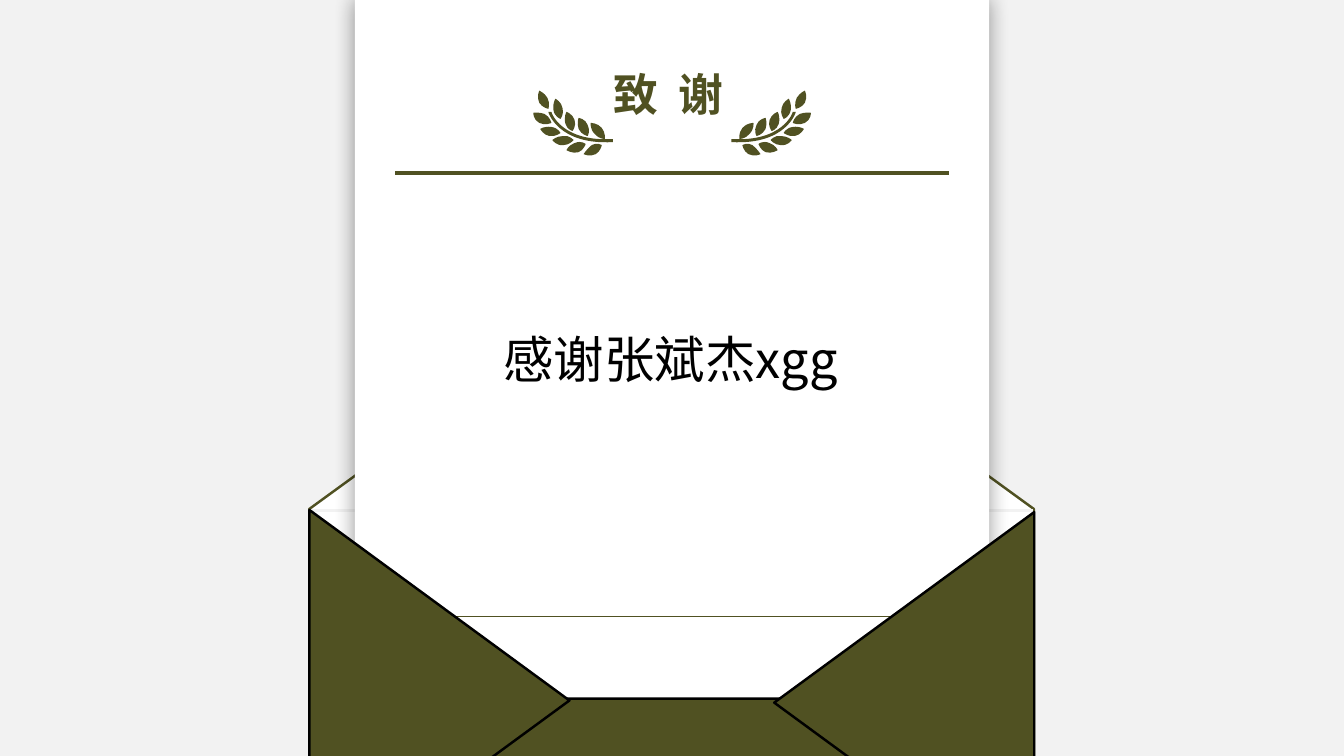
"""Build a thank-you slide with a letter rising out of an open envelope."""
from lxml.etree import SubElement
from pptx import Presentation
from pptx.dml.color import RGBColor
from pptx.enum.shapes import MSO_CONNECTOR, MSO_SHAPE
from pptx.enum.text import MSO_ANCHOR, MSO_AUTO_SIZE, PP_ALIGN
from pptx.oxml.ns import qn
from pptx.util import Pt

TITLE = "致 谢"
MESSAGE = "感谢张斌杰xgg"
FONT = "Noto Sans CJK SC"
OLIVE = RGBColor(0x50, 0x51, 0x22)
WHITE = RGBColor(0xFF, 0xFF, 0xFF)
BLACK = RGBColor(0, 0, 0)
GREY = RGBColor(0xF2, 0xF2, 0xF2)

SPRIG_UNIT = 0.72
MIRROR_SUM = 1333.5
LEAVES = [
    [(579, 153), (582, 148), (587, 144), (592, 141), (597, 144), (596, 150), (591, 153), (585, 156)],
    [(562, 149), (564, 144), (570, 142), (577, 139), (581, 143), (579, 149), (574, 151), (568, 153)],
    [(548, 139), (552, 135), (559, 135), (565, 134), (569, 139), (565, 144), (559, 144), (552, 145)],
    [(586, 122), (593, 122), (597, 127), (601, 132), (600, 138), (594, 138), (590, 133), (585, 128)],
    [(574, 117), (581, 118), (583, 124), (586, 130), (583, 135), (577, 134), (574, 128), (572, 122)],
    [(562, 111), (568, 113), (570, 119), (572, 125), (568, 130), (563, 129), (561, 123), (559, 116)],
    [(536, 128), (540, 125), (547, 126), (554, 127), (556, 132), (551, 136), (545, 135), (539, 134)],
    [(551, 98), (557, 101), (558, 107), (560, 113), (556, 118), (550, 116), (549, 109), (548, 103)],
    [(529, 112), (534, 111), (540, 113), (546, 116), (547, 122), (541, 125), (535, 122), (529, 119)],
    [(535, 90), (540, 92), (543, 97), (546, 103), (544, 108), (538, 107), (535, 102), (532, 96)],
]
STEM = [(547, 111), (547, 112), (557, 141), (608, 138), (608, 138), (608, 141), (608, 141),
        (554, 144), (544, 112), (544, 111)]

BACK = (249, 147.25, 461.5, 517.5)
LETTER = (253.5, 0, 453, 533.5)
TITLE_BOX = (431, 44, 98.5, 46)
POCKET = (221.75, 499, 516.25, 138.25)
MESSAGE_BOX = (281, 209, 396, 306.75)
FLAPS = [((177.75, 407.5, 272.25, 185.75), 90), ((509.75, 409, 272.25, 185.75), 270)]
FOLD = (221, 738, 364.5)
RULE_LEFT, RULE_RIGHT = 282.25, 678
HEADER_RULE_TOP, LETTER_RULE_TOP = 123.5, 440


def leaf_outline(leaf):
    """Return a start point and the curve points from a leaf's base to its tip and back."""
    base, side_1, middle_1, side_2, tip, side_3, middle_2, side_4 = leaf
    return [base, base, side_1, middle_1, side_2, tip, tip,
            tip, side_3, middle_2, side_4, base, base]


def bend_segments(shape):
    """Turn each three line segments of an outline into one cubic curve."""
    segments = list(shape._element.iter(qn("a:lnTo")))
    for index in range(0, len(segments), 3):
        first, *others = segments[index:index + 3]
        first.tag = qn("a:cubicBezTo")
        for other in others:
            first.append(other[0])
            other.getparent().remove(other)


def add_sprig(shapes, mirrored):
    """Add one laurel sprig as a single curved outline."""
    def place(point):
        x, y = point
        return Pt((MIRROR_SUM - x if mirrored else x) * SPRIG_UNIT), Pt(y * SPRIG_UNIT)

    outlines = [list(map(place, outline)) for outline in [*map(leaf_outline, LEAVES), STEM]]
    builder = shapes.build_freeform(*outlines[0][0])
    for index, outline in enumerate(outlines):
        if index:
            builder.move_to(*outline[0])
        builder.add_line_segments(outline[1:], close=False)
    sprig = builder.convert_to_shape()
    bend_segments(sprig)
    style_shape(sprig, OLIVE)


def style_shape(shape, fill, line=None):
    """Give a shape a flat fill and an optional outline."""
    shape.shadow.inherit = False
    shape.fill.solid()
    shape.fill.fore_color.rgb = fill
    if line is None:
        shape.line.fill.background()
    else:
        shape.line.color.rgb = line
        shape.line.width = Pt(1.75)


def add_panel(shapes, kind, frame, fill, line=None, rotation=0, adjustment=None):
    """Add a preset shape."""
    panel = shapes.add_shape(kind, *map(Pt, frame))
    panel.rotation = rotation
    if adjustment is not None:
        panel.adjustments[0] = adjustment
    style_shape(panel, fill, line)
    return panel


def add_rule(shapes, left, right, top, color, width):
    """Add a horizontal line."""
    rule = shapes.add_connector(MSO_CONNECTOR.STRAIGHT, Pt(left), Pt(top), Pt(right), Pt(top))
    rule.line.color.rgb = color
    rule.line.width = Pt(width)
    SubElement(rule._element.spPr, qn("a:effectLst"))


def add_soft_shadow(shape):
    """Give a shape an even, blurred black shadow."""
    effects = shape._element.spPr.find(qn("a:effectLst"))
    shadow = SubElement(effects, qn("a:outerShdw"), blurRad=str(Pt(15)), dist="0", dir="0",
                        algn="ctr", rotWithShape="0")
    color = SubElement(shadow, qn("a:srgbClr"), val=str(BLACK))
    SubElement(color, qn("a:alpha"), val="40000")


def write_text(box, text, size, color, alignment, bold=False):
    """Write one formatted paragraph and return it."""
    box.text_frame.vertical_anchor = MSO_ANCHOR.TOP
    para = box.text_frame.paragraphs[0]
    para.text = text
    para.alignment = alignment
    span = para.runs[0]
    span.font.size = Pt(size)
    span.font.bold = bold
    span.font.color.rgb = color
    span.font.name = FONT
    SubElement(span._r.get_or_add_rPr(), qn("a:ea"), typeface=FONT)
    return para


def main():
    """Assemble the slide from back to front."""
    deck = Presentation()
    deck.slide_width, deck.slide_height = Pt(960), Pt(540)
    page = deck.slides.add_slide(deck.slide_layouts[5])
    page.background.fill.solid()
    page.background.fill.fore_color.rgb = GREY
    shapes = page.shapes

    add_panel(shapes, MSO_SHAPE.PENTAGON, BACK, WHITE, OLIVE, 270, 0.408)
    add_rule(shapes, *FOLD, GREY, 1.75)
    add_soft_shadow(add_panel(shapes, MSO_SHAPE.RECTANGLE, LETTER, WHITE))

    wreath = shapes.add_group_shape()
    for mirrored in (False, True):
        add_sprig(wreath.shapes, mirrored)

    title = shapes.title
    title.left, title.top, title.width, title.height = map(Pt, TITLE_BOX)
    title.text_frame.word_wrap = False
    title.text_frame.auto_size = MSO_AUTO_SIZE.SHAPE_TO_FIT_TEXT
    heading = write_text(title, TITLE, 32, OLIVE, PP_ALIGN.LEFT, True)
    heading.runs[0]._r.get_or_add_rPr().set("spc", "360")
    wreath._element.addnext(title._element)

    add_panel(shapes, MSO_SHAPE.TRAPEZOID, POCKET, OLIVE, BLACK, adjustment=1.148)
    message = shapes.add_textbox(*map(Pt, MESSAGE_BOX))
    message.text_frame.word_wrap = True
    write_text(message, MESSAGE, 36, BLACK, PP_ALIGN.CENTER).line_spacing = 1.5
    add_rule(shapes, RULE_LEFT, RULE_RIGHT, LETTER_RULE_TOP, OLIVE, 0.5)
    for frame, rotation in FLAPS:
        add_panel(shapes, MSO_SHAPE.ISOSCELES_TRIANGLE, frame, OLIVE, BLACK, rotation)
    add_rule(shapes, RULE_LEFT, RULE_RIGHT, HEADER_RULE_TOP, OLIVE, 2.75)

    deck.save("out.pptx")


if __name__ == "__main__":
    main()
